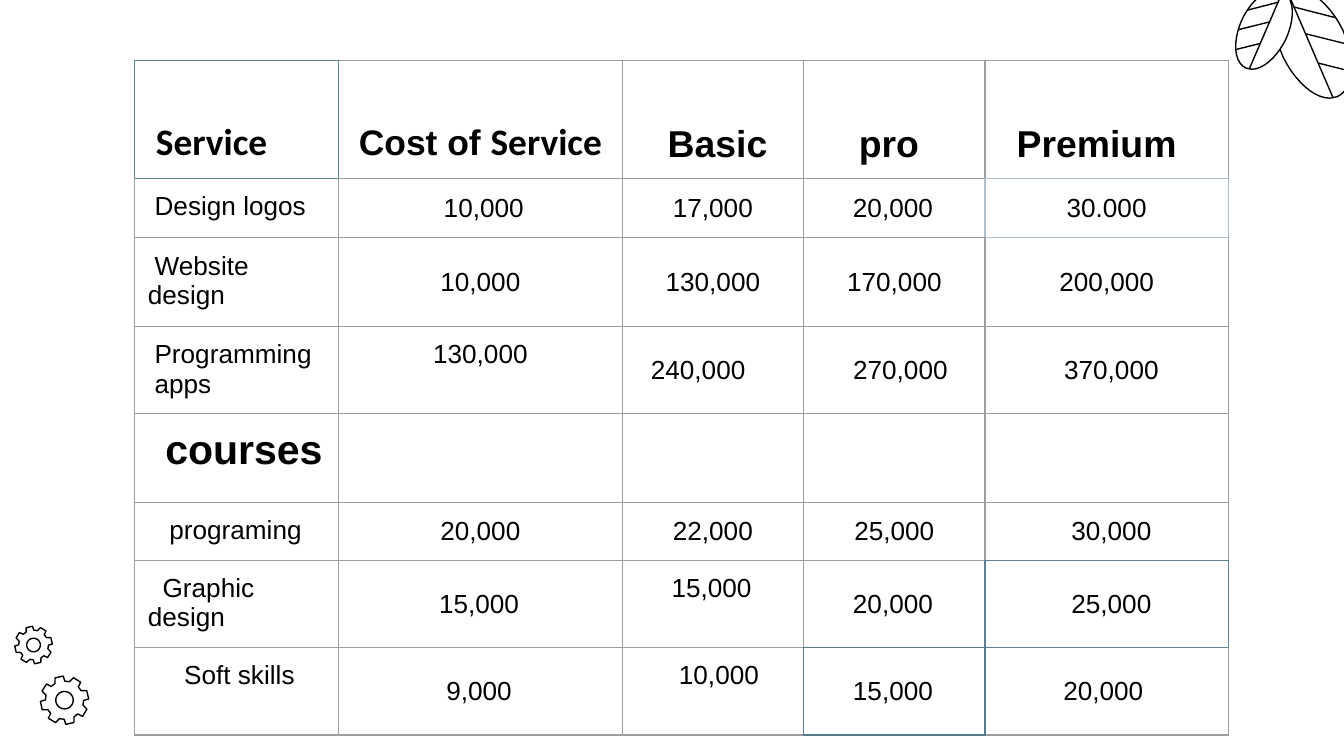
from math import cos, radians, sin

from lxml import etree
from pptx import Presentation
from pptx.dml.color import RGBColor
from pptx.enum.shapes import MSO_CONNECTOR
from pptx.enum.text import MSO_ANCHOR, PP_ALIGN
from pptx.oxml.ns import qn
from pptx.util import Inches, Pt

LINE = MSO_CONNECTOR.STRAIGHT
TOP, MID, LOW = MSO_ANCHOR.TOP, MSO_ANCHOR.MIDDLE, MSO_ANCHOR.BOTTOM
LEFT, CENTER = PP_ALIGN.LEFT, PP_ALIGN.CENTER
BLACK, WHITE, GRAY = "000000", "FFFFFF", "9E9E9E"

COLS = [1.52, 2.11, 1.35, 1.35, 1.81]
ROWS = [0.88, 0.44, 0.66, 0.65, 0.66, 0.43, 0.65, 0.65]
HEAD = {"name": "Arial", "size": Pt(20), "bold": True}
CALIBRI = {**HEAD, "name": "Calibri"}
SMALL = {**HEAD, "size": Pt(19)}
BIG = {**HEAD, "size": Pt(22)}
BODY = {"name": "Arial", "size": Pt(14), "bold": False}

GRID = [
    ["Service", "Cost of Service", "Basic", "pro", "Premium"],
    ["Design logos", "10,000", "17,000", "20,000", "30.000"],
    ["Website design", "10,000", "130,000", "170,000", "200,000"],
    ["Programming apps", "130,000", "240,000", "270,000", "370,000"],
    ["courses", "", "", "", ""],
    ["programing", "20,000", "22,000", "25,000", "30,000"],
    ["Graphic design", "15,000", "15,000", "20,000", "25,000"],
    ["Soft skills", "9,000", "10,000", "15,000", "20,000"],
]
# First column: left margin and first-line indent of each row
INDENTS = [(0.06, 0), (0.05, 0), (0, 0.05), (0.05, 0),
           (0.13, 0), (0.16, 0), (0, 0.11), (0.27, 0)]
# Centred cells: one-sided margin, negative for the right side
SHIFTS = {(0, 2): 0.07, (0, 3): -0.08, (0, 4): -0.15, (1, 1): 0.05,
          (1, 3): -0.02, (3, 2): -0.22, (3, 3): 0.09, (3, 4): 0.07,
          (5, 4): 0.07, (6, 1): -0.02, (6, 2): -0.02, (6, 3): -0.02,
          (6, 4): 0.07, (7, 1): -0.02, (7, 2): 0.09, (7, 3): -0.02,
          (7, 4): -0.05}
RAISED = {(3, 1), (6, 2), (7, 2)}
BOXED = {(0, 0): "5F8195", (1, 4): "B0C1CD",
         (6, 4): "5F8195", (7, 3): "577B88"}
SIDES = {"lnL": (0, -1), "lnR": (0, 1), "lnT": (-1, 0), "lnB": (1, 0)}

# Leaf drawn on a 0.64 by 0.81 field: start, then Bezier triples
LEAF = [(0.44, 0.81),
        (0.46, 0.81), (0.49, 0.80), (0.50, 0.80),
        (0.63, 0.74), (0.64, 0.52), (0.54, 0.30),
        (0.45, 0.12), (0.31, 0), (0.20, 0),
        (0.18, 0), (0.16, 0.01), (0.14, 0.02),
        (0.01, 0.08), (0, 0.29), (0.10, 0.51),
        (0.19, 0.69), (0.33, 0.81), (0.44, 0.81)]
VEINS = [((0.17, 0.13), (0.48, 0.21)), ((0.26, 0.33), (0.58, 0.41)),
         ((0.36, 0.55), (0.60, 0.61)), ((0.47, 0.81), (0.13, 0.02))]


def color(code):
    return RGBColor.from_string(code)


def ink(shape):
    shape.line.color.rgb = color(BLACK)
    shape.line.width = Pt(0.75)


def outline(shapes, rings, fill=None):
    """Draw closed rings of points, in inches, as one shape."""
    rings = [[(Inches(x), Inches(y)) for x, y in ring] for ring in rings]
    pen = shapes.build_freeform(*rings[0][0])
    for k, ring in enumerate(rings):
        if k:
            pen.move_to(*ring[0])
        pen.add_line_segments(ring[1:], close=True)
    shape = pen.convert_to_shape()
    shape.shadow.inherit = False
    ink(shape)
    if fill:
        shape.fill.solid()
        shape.fill.fore_color.rgb = color(fill)
    else:
        shape.fill.background()


def curve(points, steps=10):
    """Sample a chain of cubic Bezier curves."""
    dots = [points[0]]
    for k in range(0, len(points) - 1, 3):
        for n in range(1, steps + 1):
            t = n / steps
            mix = ((1 - t) ** 3, 3 * t * (1 - t) ** 2, 3 * t * t * (1 - t), t ** 3)
            dots.append(tuple(sum(m * p[a] for m, p in zip(mix, points[k:k + 4]))
                              for a in (0, 1)))
    return dots


def add_leaf(slide, left, top, width, flip=False):
    scale = width / 0.64

    def place(dot):
        x = 0.64 - dot[0] if flip else dot[0]
        return left + x * scale, top + dot[1] * scale

    shapes = slide.shapes.add_group_shape().shapes
    outline(shapes, [[place(dot) for dot in curve(LEAF)]], WHITE)
    for start, end in VEINS:
        ends = [Inches(v) for v in place(start) + place(end)]
        vein = shapes.add_connector(LINE, *ends)
        ink(vein)
        etree.SubElement(vein._element.spPr, qn("a:effectLst"))


def add_gear(slide, left, top, size):
    tip = size / 2

    def polar(angle, reach):
        turn = radians(angle)
        return left + tip + reach * cos(turn), top + tip + reach * sin(turn)

    teeth = [polar(45 * k - 13 + turn, tip * part) for k in range(8)
             for turn, part in ((-17, 0.79), (-10, 1), (10, 1), (14, 0.79))]
    hole = [polar(10 * k, tip * 0.36) for k in range(36)]
    outline(slide.shapes, [hole, teeth])


def add_edges(cell, row, col):
    """Draw the cell's borders, sharing a boxed neighbour's colour."""
    props = cell._tc.get_or_add_tcPr()
    for tag, (down, over) in SIDES.items():
        near = BOXED.get((row + down, col + over), GRAY)
        edge = etree.SubElement(props, qn("a:" + tag), w=str(Pt(0.75)))
        fill = etree.SubElement(edge, qn("a:solidFill"))
        etree.SubElement(fill, qn("a:srgbClr"), val=BOXED.get((row, col), near))


def get_runs(text, row, col):
    if (row, col) == (0, 1):
        return [("Cost of ", SMALL), ("Service", CALIBRI)]
    if row == 0:
        return [(text, HEAD if col else CALIBRI)]
    return [(text, BIG if (row, col) == (4, 0) else BODY)]


def fill_cell(cell, text, row, col):
    add_edges(cell, row, col)
    cell.fill.background()
    for side in ("left", "right", "top", "bottom"):
        setattr(cell, "margin_" + side, Inches(0.1))
    high = col == 0 or (row, col) in RAISED
    cell.vertical_anchor = LOW if row == 0 else TOP if high else MID
    if not text:
        return
    para = cell.text_frame.paragraphs[0]
    para.alignment = CENTER if col else LEFT
    shift = SHIFTS.get((row, col), 0)
    margin, indent = (max(shift, 0), 0) if col else INDENTS[row]
    props = para._p.get_or_add_pPr()
    for name, value in {"marL": margin, "marR": max(-shift, 0),
                        "indent": indent}.items():
        props.set(name, str(Inches(value)))
    for words, style in get_runs(text, row, col):
        run = para.add_run()
        run.text = words
        for name, value in style.items():
            setattr(run.font, name, value)
        run.font.color.rgb = color(BLACK)


def add_prices(slide, left, top):
    box = [Inches(v) for v in (left, top, sum(COLS), sum(ROWS))]
    table = slide.shapes.add_table(len(ROWS), len(COLS), *box).table
    table.first_row = table.horz_banding = False
    for col, width in zip(table.columns, COLS):
        col.width = Inches(width)
    for r, height in enumerate(ROWS):
        table.rows[r].height = Inches(height)
        for c, text in enumerate(GRID[r]):
            fill_cell(table.cell(r, c), text, r, c)


def main():
    deck = Presentation()
    deck.slide_width = Inches(10)
    deck.slide_height = deck.slide_width * 9 // 16
    slide = deck.slides.add_slide(deck.slide_layouts[6])
    add_leaf(slide, 9.45, -0.08, 0.64)
    add_leaf(slide, 9.17, -0.08, 0.47, flip=True)
    add_gear(slide, 0.3, 5.03, 0.36)
    add_gear(slide, 0.11, 4.66, 0.28)
    add_prices(slide, 1, 0.45)
    deck.save("out.pptx")


if __name__ == "__main__":
    main()
